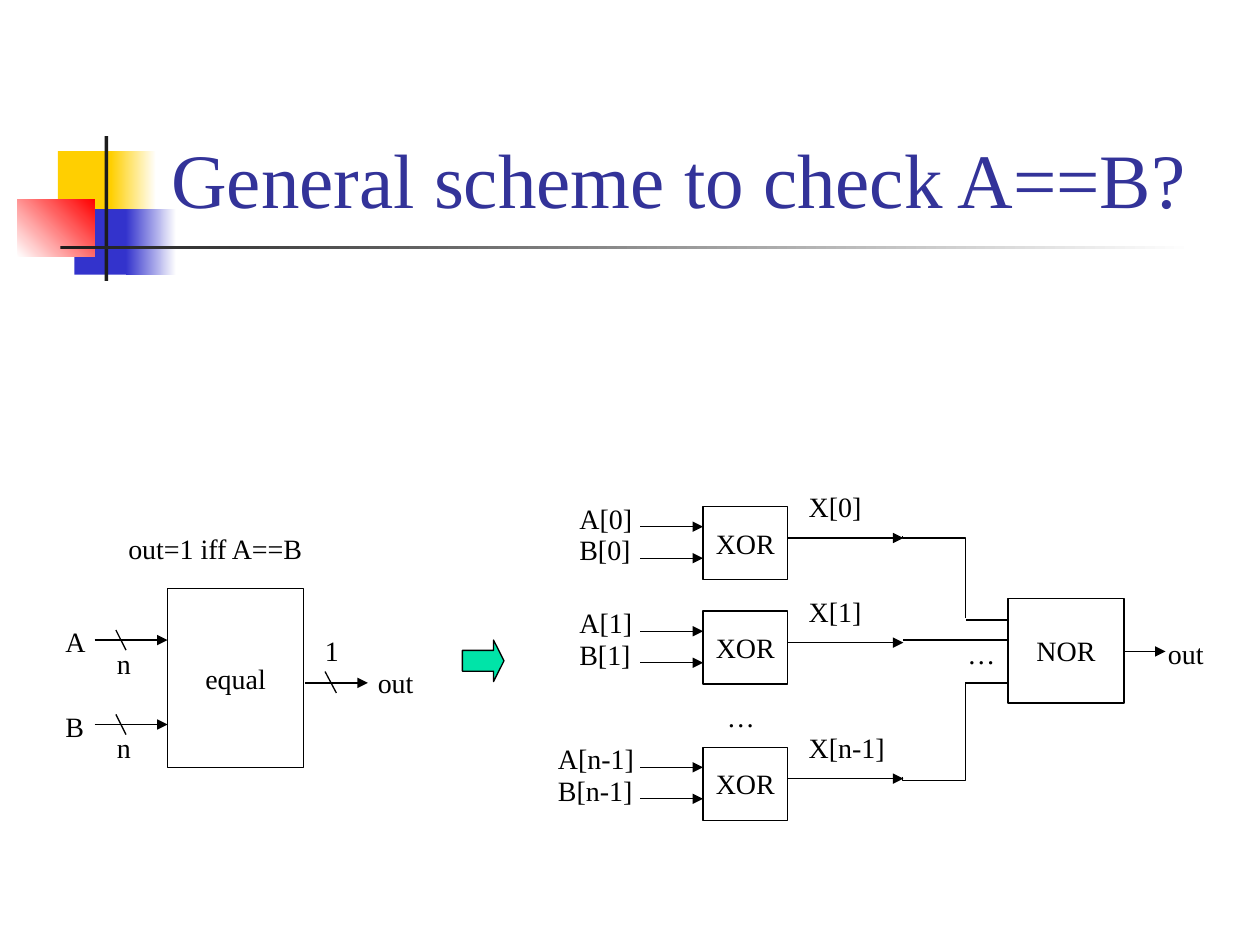
"""Build the slide showing a general equality check made of XOR gates and a NOR gate."""
from dataclasses import dataclass

from lxml.etree import SubElement
from pptx import Presentation
from pptx.dml.color import RGBColor
from pptx.enum.shapes import MSO_CONNECTOR, MSO_SHAPE
from pptx.enum.text import MSO_ANCHOR, MSO_AUTO_SIZE, PP_ALIGN
from pptx.oxml.ns import qn
from pptx.util import Inches, Pt


@dataclass(frozen=True)
class Theme:
    font: str = "Times New Roman"
    title_size: Pt = Pt(44)
    label_size: Pt = Pt(16)
    line_width: Pt = Pt(0.75)
    title: RGBColor = RGBColor(0x33, 0x33, 0x99)
    ink: RGBColor = RGBColor(0, 0, 0)
    white: RGBColor = RGBColor(0xFF, 0xFF, 0xFF)
    yellow: RGBColor = RGBColor(0xFF, 0xCF, 0x01)
    blue: RGBColor = RGBColor(0x33, 0x33, 0xCC)
    red: RGBColor = RGBColor(0xFF, 0, 0)
    dark: RGBColor = RGBColor(0x1C, 0x1C, 0x1C)
    green: RGBColor = RGBColor(0, 0xE4, 0xA8)


theme = Theme()
deck = Presentation()
deck.slide_width, deck.slide_height = Inches(10), Inches(7.5)
page = deck.slides.add_slide(deck.slide_layouts[5])
shapes = page.shapes


def add_label(text, left, top, width):
    box = shapes.add_textbox(Inches(left), Inches(top), Inches(width), Inches(0.37))
    frame = box.text_frame
    frame.word_wrap = False
    frame.auto_size = MSO_AUTO_SIZE.SHAPE_TO_FIT_TEXT
    frame.text = text
    font = frame.paragraphs[0].font
    font.name, font.size, font.color.rgb = theme.font, theme.label_size, theme.ink


def add_wire(start, end, arrow=False, kind=MSO_CONNECTOR.STRAIGHT):
    wire = shapes.add_connector(kind, *(Inches(value) for value in (*start, *end)))
    wire.line.color.rgb = theme.ink
    wire.line.width = theme.line_width
    properties = wire._element.spPr
    if arrow:
        SubElement(properties.find(qn("a:ln")), qn("a:tailEnd"), type="triangle")
    SubElement(properties, qn("a:effectLst"))
    return wire


ornaments = [
    (0.46, 1.2, 0.48, 0.52, theme.yellow, None, 0),
    (0.88, 1.2, 0.36, 0.52, theme.yellow, theme.white, 0),
    (0.59, 1.66, 0.46, 0.52, theme.blue, None, 0),
    (1, 1.66, 0.4, 0.52, theme.blue, theme.white, 0),
    (0.14, 1.58, 0.61, 0.46, theme.white, theme.red, 45),
    (0.83, 1.08, 0.03, 1.15, theme.dark, None, 0),
    (0.48, 1.95, 9, 0.03, theme.dark, theme.white, 0),
]
for *place, color, fade, angle in ornaments:
    block = shapes.add_shape(MSO_SHAPE.RECTANGLE, *(Inches(value) for value in place))
    block.shadow.inherit = False
    block.line.fill.background()
    if fade is None:
        block.fill.solid()
        block.fill.fore_color.rgb = color
    else:
        block.fill.gradient()
        block.fill.gradient_angle = angle
        for stop, shade in zip(block.fill.gradient_stops, (color, fade)):
            stop.color.rgb = shade

title = shapes.title
title.left, title.top = Inches(1.26), Inches(0.23)
title.width, title.height = Inches(8.52), Inches(1.6)
frame = title.text_frame
frame.text = "General scheme to check A==B?"
frame.word_wrap = True
frame.auto_size = MSO_AUTO_SIZE.NONE
frame.vertical_anchor = MSO_ANCHOR.BOTTOM
para = frame.paragraphs[0]
para.alignment = PP_ALIGN.LEFT
para.font.name, para.font.size, para.font.color.rgb = theme.font, theme.title_size, theme.title

xor_rows = [("0", 4.02, 4.5, 0.62), ("1", 4.85, 4.5, 0.62), ("n-1", 5.93, 4.33, 0.81)]
gates = [("equal", 1.33, 4.67, 1.08, 1.42), ("NOR", 8, 4.75, 0.92, 0.83)]
gates += [("XOR", 5.58, top, 0.67, 0.58) for _, top, _, _ in xor_rows]
for name, *place in gates:
    gate = shapes.add_shape(MSO_SHAPE.RECTANGLE, *(Inches(value) for value in place))
    gate.shadow.inherit = False
    gate.fill.background()
    gate.line.color.rgb = theme.ink
    gate.line.width = theme.line_width
    frame = gate.text_frame
    frame.text = name
    frame.word_wrap = False
    frame.vertical_anchor = MSO_ANCHOR.MIDDLE
    para = frame.paragraphs[0]
    para.alignment = PP_ALIGN.CENTER
    para.font.name, para.font.size, para.font.color.rgb = theme.font, theme.label_size, theme.ink

add_label("out=1 iff A==B", 0.92, 4.17, 1.6)
for name, level in (("A", 5.08), ("B", 5.75)):
    add_wire((0.75, level), (1.33, level), arrow=True)
    add_wire((0.92, level - 0.08), (1, level + 0.08))
    add_label("n", 0.83, level, 0.31)
    add_label(name, 0.42, level - 0.17, 0.36)
add_wire((2.42, 5.42), (2.92, 5.42), arrow=True)
add_wire((2.58, 5.33), (2.67, 5.5))
add_label("1", 2.48, 4.98, 0.31)
add_label("out", 2.9, 5.23, 0.49)

arrow = shapes.add_shape(
    MSO_SHAPE.RIGHT_ARROW, Inches(3.67), Inches(5.08), Inches(0.33), Inches(0.33)
)
arrow.adjustments[0], arrow.adjustments[1] = 0.5, 0.25
arrow.shadow.inherit = False
arrow.fill.solid()
arrow.fill.fore_color.rgb = theme.green
arrow.line.color.rgb = theme.ink
arrow.line.width = theme.line_width

for bit, top, left, width in xor_rows:
    for name, offset in (("A", 0.16), ("B", 0.41)):
        add_wire((5.08, top + offset), (5.58, top + offset), arrow=True)
        add_label(f"{name}[{bit}]", left, top + offset - 0.25, width)
    add_wire((6.25, top + 0.25), (7.17, top + 0.25), arrow=True)
    add_label(f"X[{bit}]", 6.32, top - 0.18, width)
add_label("…", 5.67, 5.5, 0.42)
add_label("…", 7.58, 5, 0.42)

for level in (4.92, 5.08, 5.42):
    add_wire((8, level), (7.67, level))
add_wire((7.17, 5.08), (7.67, 5.08))
elbows = [
    ((7.74, 4.33), (7.09, 4.83), 270, 2400),
    ((7.79, 6.04), (7.04, 5.54), 90, -3900),
]
for start, end, degrees, bend in elbows:
    elbow = add_wire(start, end, kind=MSO_CONNECTOR.ELBOW)
    properties = elbow._element.spPr
    properties.find(qn("a:xfrm")).set("rot", str(degrees * 60000))
    guides = properties.find(qn("a:prstGeom")).find(qn("a:avLst"))
    SubElement(guides, qn("a:gd"), name="adj1", fmla=f"val {bend}")
add_wire((8.92, 5.17), (9.25, 5.17), arrow=True)
add_label("out", 9.17, 5, 0.49)

deck.save("out.pptx")
